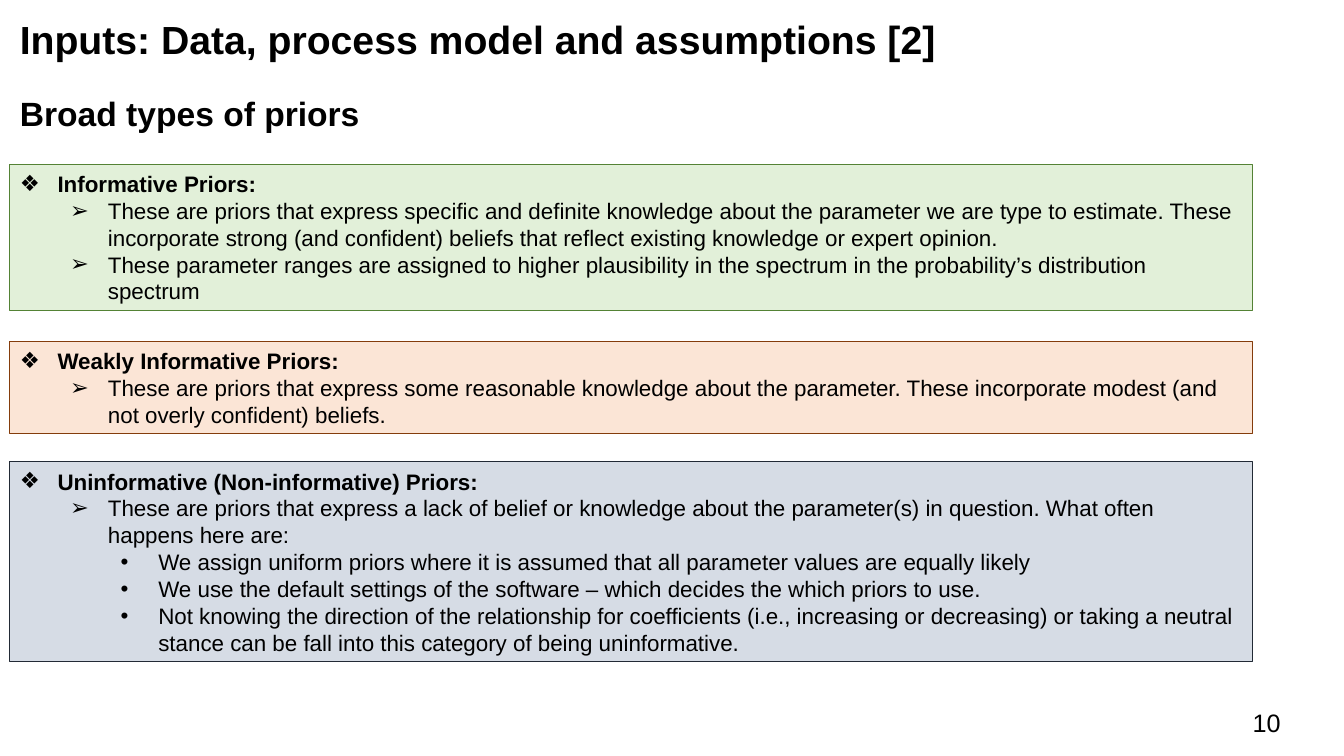
from lxml import etree
from pptx import Presentation
from pptx.dml.color import RGBColor
from pptx.enum.text import MSO_ANCHOR, MSO_AUTO_SIZE, PP_ALIGN
from pptx.oxml.ns import qn
from pptx.util import Cm, Pt

LEFT, TOP, MIDDLE = PP_ALIGN.LEFT, MSO_ANCHOR.TOP, MSO_ANCHOR.MIDDLE
NO_FIT = MSO_AUTO_SIZE.NONE
COMPARISON_LAYOUT = 3 + 1
BULLETS = ["❖", "➢", "•"]
HANGING, LEVEL_STEP = 0.95, 1.27
MARGIN, BOX_WIDTH = 0.25, 31.32

# top, height, fill, line, [(level, text), ...]
PRIORS = [
    (4.14, 3.68, "E2F0D9", "548235", [
        (0, "Informative Priors:"),
        (1, "These are priors that express specific and definite knowledge about the "
            "parameter we are type to estimate. These incorporate strong (and confident) "
            "beliefs that reflect existing knowledge or expert opinion."),
        (1, "These parameter ranges are assigned to higher plausibility in the spectrum "
            "in the probability’s distribution spectrum"),
    ]),
    (8.61, 2.31, "FBE5D6", "843C0B", [
        (0, "Weakly Informative Priors:"),
        (1, "These are priors that express some reasonable knowledge about the parameter. "
            "These incorporate modest (and not overly confident) beliefs."),
    ]),
    (11.63, 5.05, "D6DCE5", "222A35", [
        (0, "Uninformative (Non-informative) Priors:"),
        (1, "These are priors that express a lack of belief or knowledge about the "
            "parameter(s) in question. What often happens here are:"),
        (2, "We assign uniform priors where it is assumed that all parameter values are "
            "equally likely"),
        (2, "We use the default settings of the software – which decides the which priors "
            "to use."),
        (2, "Not knowing the direction of the relationship for coefficients (i.e., "
            "increasing or decreasing) or taking a neutral stance can be fall into this "
            "category of being uninformative."),
    ]),
]


def rgb(color):
    return RGBColor.from_string(color)


def place(s, left, top, width, height, anchor=TOP, wrap=True):
    """Position a shape and return its text frame, set up for fixed-size text."""
    s.left, s.top, s.width, s.height = Cm(left), Cm(top), Cm(width), Cm(height)
    tf = s.text_frame
    tf.auto_size = NO_FIT
    tf.word_wrap = wrap
    tf.vertical_anchor = anchor
    tf.margin_left = tf.margin_right = Cm(0.25)
    tf.margin_top = tf.margin_bottom = Cm(0.13)
    return tf


def set_bullet(p, level, char):
    """Give a paragraph a hanging bullet, or none if char is None."""
    pPr = p._p.get_or_add_pPr()
    hanging = HANGING if char else 0
    pPr.set("marL", str(Cm(hanging + LEVEL_STEP * level)))
    pPr.set("indent", str(-Cm(hanging)))
    if char:
        etree.SubElement(pPr, qn("a:buChar")).set("char", char)
    else:
        etree.SubElement(pPr, qn("a:buNone"))


def write(p, text, size=16, bold=False, color="000000", level=0, bullet=None, spacing=1.0):
    p.level = level
    set_bullet(p, level, bullet)
    p.alignment = LEFT
    p.line_spacing = spacing
    p.space_before = p.space_after = Pt(0)
    r = p.add_run()
    r.text = text
    r.font.name, r.font.size, r.font.bold = "Arial", Pt(size), bold
    r.font.color.rgb = rgb(color)


def add_headings(title, subtitle):
    tf = place(title, MARGIN, 0.38, 26.06, 1.8)
    write(tf.paragraphs[0], "Inputs: Data, process model and assumptions [2]",
          size=28, bold=True, spacing=0.9)
    tf = place(subtitle, MARGIN, 2.21, 9.09, 1.27, wrap=False)
    write(tf.paragraphs[0], "Broad types of priors", size=24, bold=True)


def fill_prior_box(s, top, height, fill, line, items):
    tf = place(s, MARGIN, top, BOX_WIDTH, height, anchor=MIDDLE)
    s.fill.solid()
    s.fill.fore_color.rgb = rgb(fill)
    s.line.color.rgb = rgb(line)
    s.line.width = Pt(0.75)
    for i, (level, text) in enumerate(items):
        p = tf.add_paragraph() if i else tf.paragraphs[0]
        write(p, text, bold=level == 0, level=level, bullet=BULLETS[level])


def add_page_number(slide, number):
    s = slide.shapes.add_textbox(0, 0, 0, 0)
    tf = place(s, 31.32, 17.7, 1.5, 0.41)
    write(tf.paragraphs[0], number, size=18)


def main():
    prs = Presentation()
    prs.slide_width, prs.slide_height = Cm(33.87), Cm(19.05)
    slide = prs.slides.add_slide(prs.slide_layouts[COMPARISON_LAYOUT])
    title, subtitle, *boxes = slide.placeholders
    add_headings(title, subtitle)
    for s, prior in zip(boxes, PRIORS):
        fill_prior_box(s, *prior)
    add_page_number(slide, "10")
    prs.save("out.pptx")


if __name__ == "__main__":
    main()
